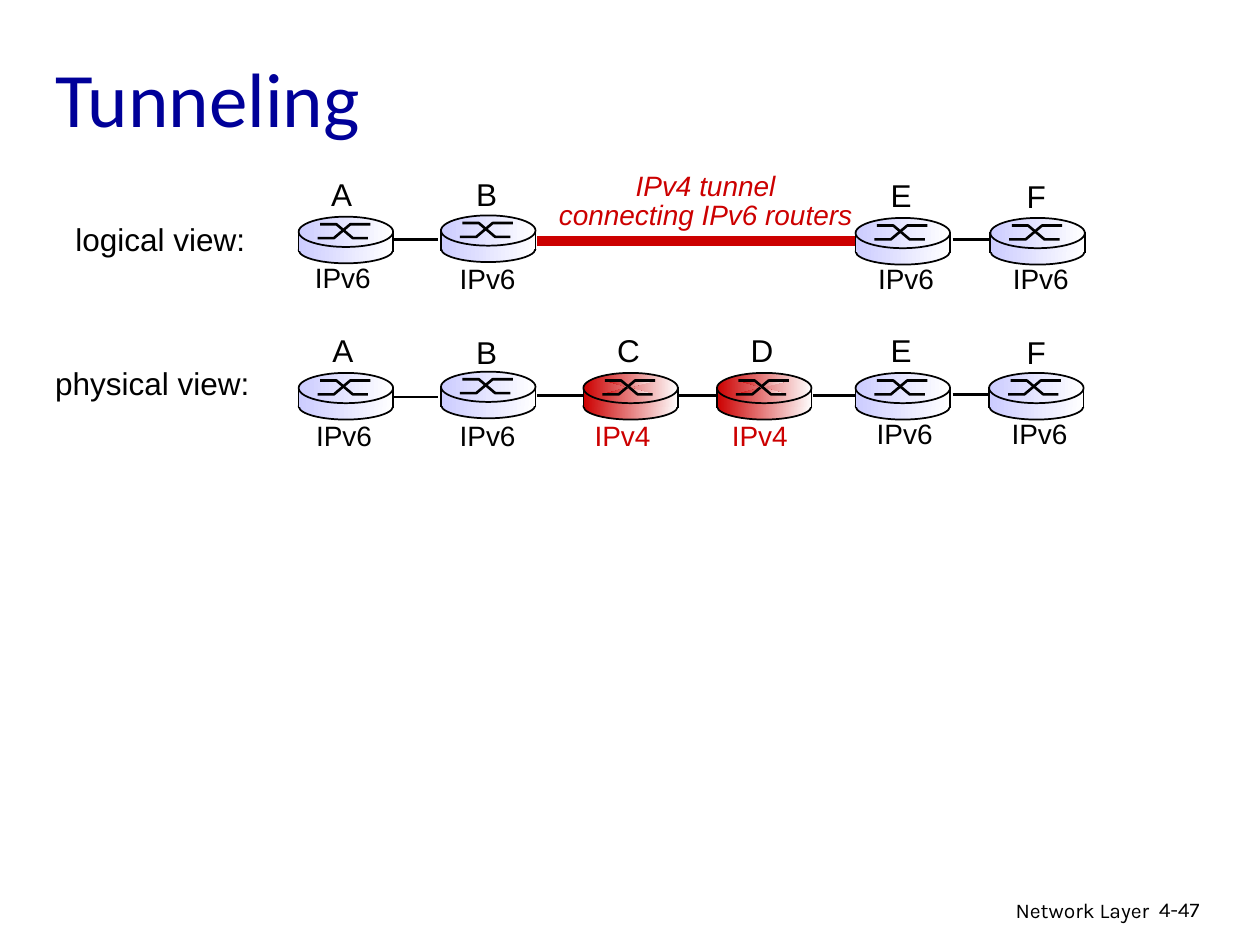
"""Build the Tunneling slide: logical and physical views of IPv6 over IPv4."""
from typing import NamedTuple

import pptx
import pptx.dml.color
import pptx.enum.shapes
import pptx.enum.text
import pptx.oxml
import pptx.util
from pptx.util import Inches

BLACK, RED, NAVY, LILAC, WHITE = "000000", "CC0000", "000099", "CCCCFF", "FFFFFF"
SHAPES = pptx.enum.shapes.MSO_SHAPE
ALIGN = pptx.enum.text.PP_ALIGN


class Router(NamedTuple):
    name: str
    left: float
    top: float
    name_at: tuple[float, float]
    version_at: tuple[float, float]
    version: str = "IPv6"


class Link(NamedTuple):
    left: float
    right: float
    y: float


class Label(NamedTuple):
    text: str
    left: float
    top: float
    width: float
    height: float
    size: int = 18
    color: str = BLACK
    font: str = "Arial"
    align: ALIGN = ALIGN.LEFT
    wrap: bool = False
    middle: bool = False
    italic: bool = False
    spacing: float | None = None


ROUTERS = [
    Router("A", 2.37, 1.72, (2.53, 1.34), (2.40, 2.02)),
    Router("B", 3.50, 1.71, (3.68, 1.34), (3.55, 2.03)),
    Router("E", 6.79, 1.73, (6.97, 1.35), (6.87, 2.03)),
    Router("F", 7.86, 1.73, (8.05, 1.36), (7.94, 2.03)),
    Router("A", 2.37, 2.96, (2.54, 2.58), (2.41, 3.27)),
    Router("B", 3.50, 2.95, (3.68, 2.59), (3.55, 3.27)),
    Router("C", 4.63, 2.96, (4.80, 2.58), (4.62, 3.27), "IPv4"),
    Router("D", 5.69, 2.96, (5.86, 2.58), (5.71, 3.27), "IPv4"),
    Router("E", 6.79, 2.96, (6.97, 2.58), (6.86, 3.26)),
    Router("F", 7.85, 2.96, (8.05, 2.59), (7.93, 3.26)),
]

LINKS = [
    Link(3.13, 3.48, 1.90),
    Link(7.56, 7.92, 1.90),
    Link(3.13, 3.48, 3.15),
    Link(4.26, 6.80, 3.14),
    Link(7.56, 7.91, 3.13),
]

LABELS = [
    Label("Tunneling", 0.34, 0.23, 8.5, 1.08, 44, NAVY, "Calibri", wrap=True, middle=True),
    Label("logical view:", 0.5, 1.7, 1.55, 0.4),
    Label("physical view:", 0.34, 2.84, 1.74, 0.4),
    Label("IPv4 tunnel\nconnecting IPv6 routers", 4.33, 1.33, 2.54, 0.56, 16, RED,
          align=ALIGN.CENTER, italic=True, spacing=0.85),
    Label("Network Layer", 6.05, 7.07, 3.17, 0.31, 12, font="Karla", align=ALIGN.RIGHT, wrap=True),
    Label("4-47", 9.1, 7.07, 0.74, 0.3, 12, font="Karla", wrap=True),
]

CROSSING = [
    [(0.15, 0.17), (0.28, 0.17), (0.41, 0.06), (0.57, 0.06)],
    [(0.17, 0.06), (0.30, 0.06), (0.43, 0.17), (0.55, 0.17)],
]


def rgb(value: str) -> pptx.dml.color.RGBColor:
    """Turn a hex string into a colour."""
    return pptx.dml.color.RGBColor.from_string(value)


def set_line(line, color: str, width: float) -> None:
    """Give an outline its colour and its width in points."""
    line.color.rgb = rgb(color)
    line.width = pptx.util.Pt(width)


def set_gradient(shape, color: str) -> None:
    """Fill a shape from the colour at the left to white at the right."""
    shape.fill.gradient()
    shape.fill.gradient_angle = 0
    for stop, value in zip(shape.fill.gradient_stops, (color, WHITE)):
        stop.color.rgb = rgb(value)


def draw_label(slide, label: Label) -> None:
    """Draw a text box with one paragraph for each line of the label."""
    box = slide.shapes.add_textbox(
        Inches(label.left), Inches(label.top), Inches(label.width), Inches(label.height))
    frame = box.text_frame
    frame.text = label.text
    frame.word_wrap = label.wrap
    if not label.wrap:
        frame.auto_size = pptx.enum.text.MSO_AUTO_SIZE.SHAPE_TO_FIT_TEXT
    if label.middle:
        frame.vertical_anchor = pptx.enum.text.MSO_ANCHOR.MIDDLE
    for paragraph in frame.paragraphs:
        paragraph.alignment = label.align
        paragraph.line_spacing = label.spacing
        for run in paragraph.runs:
            run.font.name = label.font
            run.font.size = pptx.util.Pt(label.size)
            run.font.italic = label.italic
            run.font.color.rgb = rgb(label.color)


def draw_segment(slide, x1: float, y1: float, x2: float, y2: float, width: float) -> None:
    """Draw a straight black line without a shadow."""
    connector = slide.shapes.add_connector(
        pptx.enum.shapes.MSO_CONNECTOR.STRAIGHT, Inches(x1), Inches(y1), Inches(x2), Inches(y2))
    set_line(connector.line, BLACK, width)
    properties = connector._element.spPr
    properties.append(properties.makeelement(pptx.oxml.ns.qn("a:effectLst"), {}))


def draw_shape(slide, kind: SHAPES, left: float, top: float, width: float, height: float):
    """Add a preset shape without a shadow and return it."""
    shape = slide.shapes.add_shape(
        kind, Inches(left), Inches(top), Inches(width), Inches(height))
    shape.shadow.inherit = False
    return shape


def draw_router(slide, router: Router) -> None:
    """Draw a router disc with its crossing arrows, name and protocol version."""
    left, top = router.left, router.top
    is_ipv4 = router.version == "IPv4"
    color = RED if is_ipv4 else LILAC
    for kind, offset, width, height in (
            (SHAPES.OVAL, 0.16, 0.75, 0.21),
            (SHAPES.RECTANGLE, 0.14, 0.76, 0.13),
            (SHAPES.OVAL, 0, 0.75, 0.24)):
        part = draw_shape(slide, kind, left, top + offset, width, height)
        set_gradient(part, color)
        if kind == SHAPES.OVAL:
            set_line(part.line, BLACK, 1)
        else:
            part.line.fill.background()
    for path in CROSSING:
        points = [(Inches(left + x), Inches(top + y)) for x, y in path]
        builder = slide.shapes.build_freeform(*points[0])
        builder.add_line_segments(points[1:], close=False)
        strand = builder.convert_to_shape()
        strand.shadow.inherit = False
        set_line(strand.line, BLACK, 1.5)
        if is_ipv4:
            set_gradient(strand, color)
        else:
            strand.fill.background()
    for x in (left, left + 0.75):
        draw_segment(slide, x, top + 0.11, x, top + 0.28, 1)
    draw_label(slide, Label(router.name, *router.name_at, 0.37, 0.4))
    draw_label(slide, Label(router.version, *router.version_at, 0.65, 0.37, 16,
                            RED if is_ipv4 else BLACK))


def main() -> None:
    """Build and save the presentation."""
    presentation = pptx.Presentation()
    presentation.slide_width, presentation.slide_height = Inches(10), Inches(7.5)
    slide = presentation.slides.add_slide(presentation.slide_layouts[6])
    tunnel = draw_shape(slide, SHAPES.RECTANGLE, 4.21, 1.88, 2.63, 0.07)
    tunnel.fill.solid()
    tunnel.fill.fore_color.rgb = rgb(RED)
    set_line(tunnel.line, RED, 0.75)
    for link in LINKS:
        draw_segment(slide, link.left, link.y, link.right, link.y, 1.5)
    for router in ROUTERS:
        draw_router(slide, router)
    for label in LABELS:
        draw_label(slide, label)
    presentation.save("out.pptx")


if __name__ == "__main__":
    main()
